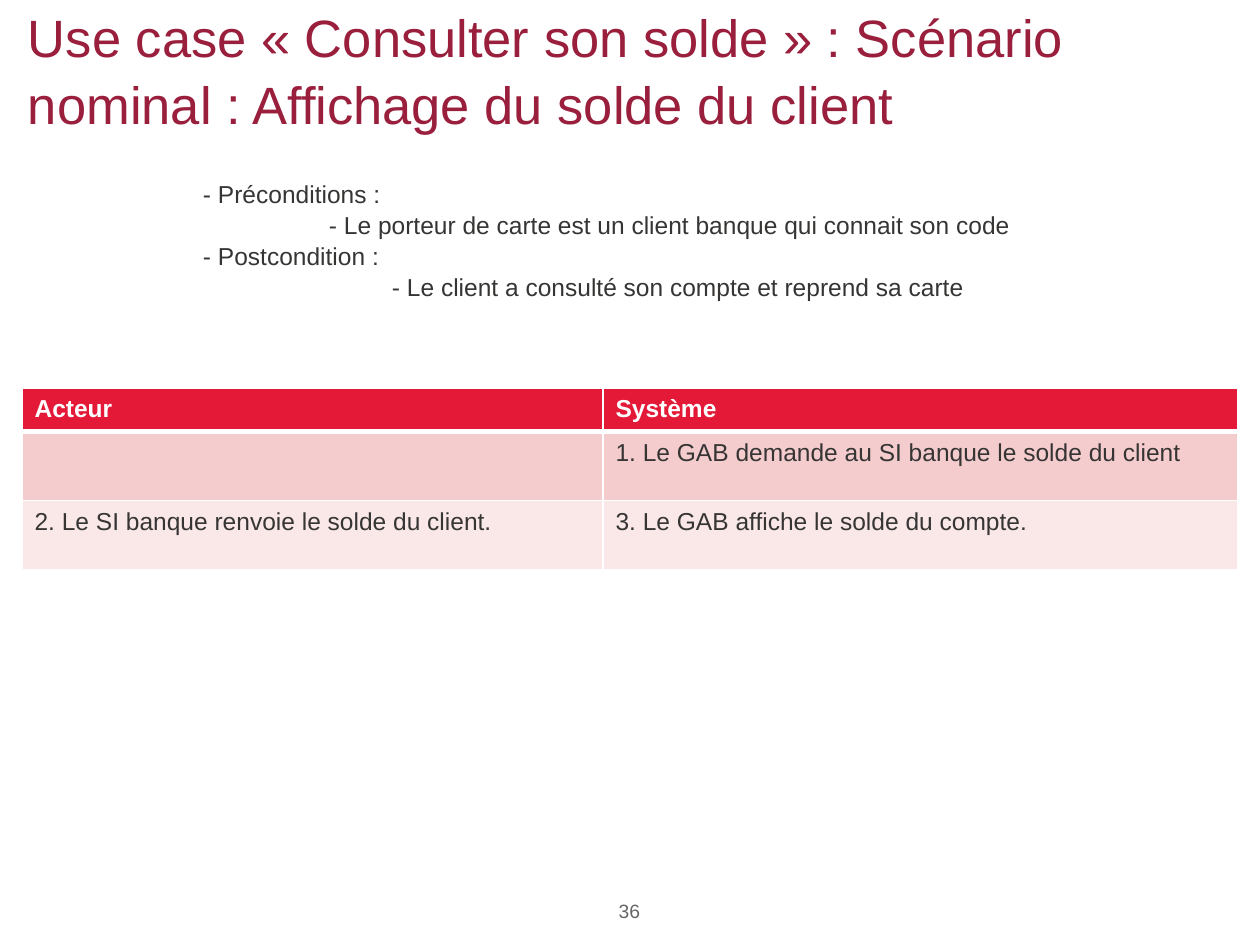
from pptx import Presentation
from pptx.dml.color import RGBColor
from pptx.enum.text import MSO_ANCHOR, PP_ALIGN
from pptx.oxml.ns import qn
from pptx.util import Pt
from lxml import etree

PX = 914400 / 126
FONT = "Arial"
LEFT, CENTER = PP_ALIGN.LEFT, PP_ALIGN.CENTER
TOP, MIDDLE = MSO_ANCHOR.TOP, MSO_ANCHOR.MIDDLE
WINE = RGBColor(0x99, 0x1F, 0x3D)
RED = RGBColor(0xE3, 0x19, 0x37)
ROSE = RGBColor(0xF4, 0xCC, 0xCE)
BLUSH = RGBColor(0xFA, 0xE8, 0xE8)
INK = RGBColor(0x36, 0x35, 0x34)
GREY = RGBColor(0x66, 0x66, 0x66)
WHITE = RGBColor(0xFF, 0xFF, 0xFF)

TITLE = "Use case «\u00a0Consulter son solde\u00a0» : Scénario nominal : Affichage du solde du client"
CONDITIONS = [
    ("- Préconditions :", 0, 0),
    ("- Le porteur de carte est un client banque qui connait son code", 0, 126),
    ("- Postcondition :", 0, 0),
    ("- Le client a consulté son compte et reprend sa carte", 1, 189),
]
SCENARIO = [
    ("Acteur", "Système"),
    ("", "1. Le GAB demande au SI banque le solde du client"),
    ("2. Le SI banque renvoie le solde du client.", "3. Le GAB affiche le solde du compte."),
]
COLUMN_WIDTHS = [581, 635]
ROW_HEIGHTS = [40, 69, 69]
ROW_FILLS = [RED, ROSE, BLUSH]


def px(n):
    """Turn pixels into EMU."""
    return round(n * PX)


def write(p, text, size, color, bold=False, spacing=1.05):
    """Write one formatted run into a paragraph."""
    p.line_spacing = spacing
    r = p.add_run()
    r.text = text
    r.font.color.rgb = color
    for name, value in {"name": FONT, "size": Pt(size), "bold": bold}.items():
        setattr(r.font, name, value)


def add_text(s, box, lines, size, color, align=LEFT, anchor=TOP, wrap=True):
    """Add a text box of (text, level, indent) lines."""
    tf = s.shapes.add_textbox(*map(px, box)).text_frame
    frame = {"margin_left": 0, "margin_top": 0, "margin_right": 0, "margin_bottom": 0,
             "word_wrap": wrap, "vertical_anchor": anchor}
    for name, value in frame.items():
        setattr(tf, name, value)
    for i, (text, level, indent) in enumerate(lines):
        p = tf.add_paragraph() if i else tf.paragraphs[0]
        p.alignment, p.level = align, level
        if indent:
            p._p.get_or_add_pPr().set("marL", str(px(indent)))
        write(p, text, size, color)


def add_border(cell, side, width):
    """Draw a white line on one side of a cell."""
    ln = etree.SubElement(cell._tc.get_or_add_tcPr(), qn(f"a:{side}"), w=str(Pt(width)))
    fill = etree.SubElement(ln, qn("a:solidFill"))
    etree.SubElement(fill, qn("a:srgbClr"), val=str(WHITE))


def fill_cell(cell, text, row):
    """Set the borders, fill and text of a scenario cell."""
    header = row == 0
    widths = {"lnL": 1, "lnR": 1, "lnT": 3 if row == 1 else 1, "lnB": 3 if header else 1}
    for side, width in widths.items():
        add_border(cell, side, width)
    cell.fill.solid()
    cell.fill.fore_color.rgb = ROW_FILLS[row]
    if text:
        write(cell.text_frame.paragraphs[0], text, 14, WHITE if header else INK, header)


def add_scenario(s, left, top):
    """Add the table of actor and system steps."""
    size = sum(COLUMN_WIDTHS), sum(ROW_HEIGHTS)
    table = s.shapes.add_table(len(SCENARIO), len(COLUMN_WIDTHS),
                               *map(px, (left, top, *size))).table
    for column, width in zip(table.columns, COLUMN_WIDTHS):
        column.width = px(width)
    for i, texts in enumerate(SCENARIO):
        table.rows[i].height = px(ROW_HEIGHTS[i])
        for j, text in enumerate(texts):
            fill_cell(table.cell(i, j), text, i)


def main():
    """Build the slide and save it."""
    prs = Presentation()
    prs.slide_width, prs.slide_height = px(1260), px(945)
    s = prs.slides.add_slide(prs.slide_layouts[6])
    add_text(s, (28, 5, 1213, 127), [(TITLE, 0, 0)], 30, WINE, anchor=MIDDLE)
    add_text(s, (576, 898, 107, 33), [("36", 0, 0)], 11, GREY, align=CENTER, wrap=False)
    add_text(s, (203, 178, 900, 118), CONDITIONS, 14, INK)
    add_scenario(s, 22, 388)
    prs.save("out.pptx")


if __name__ == "__main__":
    main()
